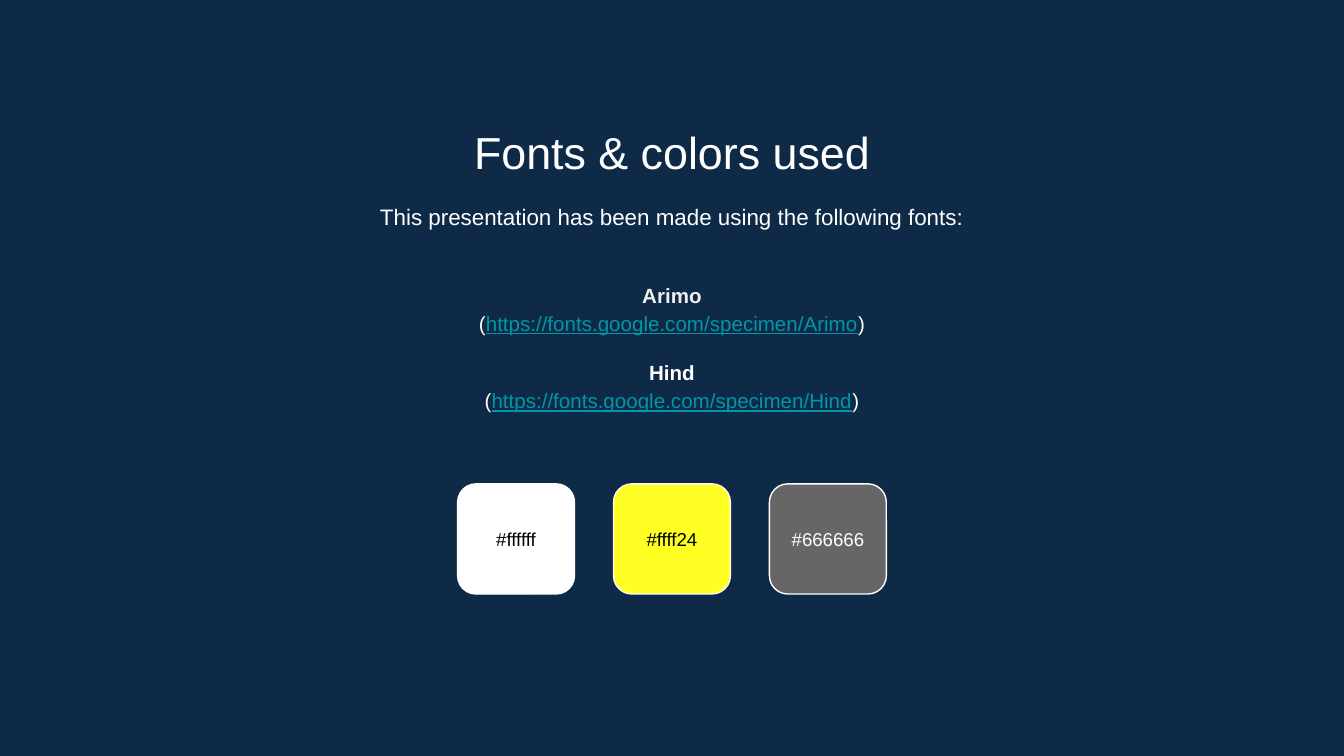
import pptx
import pptx.dml.color
import pptx.enum.shapes
import pptx.enum.text
import pptx.util

COLORS = {
    "navy": "0E2A47",
    "white": "FFFFFF",
    "black": "000000",
    "pale": "EFEFEF",
    "teal": "0097A7",
    "yellow": "FFFF24",
    "gray": "666666",
}
ANCHOR = pptx.enum.text.MSO_ANCHOR
SLIDE_WIDTH = 10
SLIDE_HEIGHT = SLIDE_WIDTH * 9 / 16


def rgb(name):
    return pptx.dml.color.RGBColor.from_string(COLORS[name])


def write(frame, paragraphs, size, anchor, spacing=1.0, inset=0.1):
    """Fill a frame; each paragraph is a list of (text, color, bold, underline)."""
    frame.word_wrap = True
    frame.vertical_anchor = anchor
    frame.margin_left = frame.margin_right = pptx.util.Inches(inset)
    frame.margin_top = frame.margin_bottom = pptx.util.Inches(inset)
    for index, pieces in enumerate(paragraphs):
        paragraph = frame.paragraphs[0] if index == 0 else frame.add_paragraph()
        paragraph.alignment = pptx.enum.text.PP_ALIGN.CENTER
        paragraph.line_spacing = spacing
        for text, color, bold, underline in pieces:
            run = paragraph.add_run()
            run.text = text
            run.font.name = "Arial"
            run.font.size = pptx.util.Pt(size)
            run.font.bold = bold
            run.font.underline = underline
            run.font.color.rgb = rgb(color)


presentation = pptx.Presentation()
presentation.slide_width = pptx.util.Inches(SLIDE_WIDTH)
presentation.slide_height = pptx.util.Inches(SLIDE_HEIGHT)
slide = presentation.slides.add_slide(presentation.slide_layouts[6])
slide.background.fill.solid()
slide.background.fill.fore_color.rgb = rgb("navy")

# Font names, each followed by its address
font_lines = []
for font_name, color in (("Arimo", "pale"), ("Hind", "white")):
    address = f"https://fonts.google.com/specimen/{font_name}"
    font_lines.append([(font_name, color, True, False)])
    font_lines.append([("(", "white", False, False),
                       (address, "teal", False, True),
                       (")", "white", False, False)])

# Centered text column: top, height, paragraphs, size, anchor, line spacing
column_width = 7.71
column_left = (SLIDE_WIDTH - column_width) / 2
intro = "This presentation has been made using the following fonts:"
blocks = [
    (0.83, 0.53, [[("Fonts & colors used", "white", False, False)]], 24, ANCHOR.TOP, 1.0),
    (1.38, 0.48, [[(intro, "white", False, False)]], 12, ANCHOR.TOP, 1.15),
    (1.89, 1.37, font_lines, 11, ANCHOR.MIDDLE, 1.15),
]
for top, height, paragraphs, size, anchor, spacing in blocks:
    box = slide.shapes.add_textbox(
        pptx.util.Inches(column_left), pptx.util.Inches(top),
        pptx.util.Inches(column_width), pptx.util.Inches(height))
    write(box.text_frame, paragraphs, size, anchor, spacing)

# Gap between the two fonts
box.text_frame.paragraphs[2].space_before = pptx.util.Pt(11)

# Row of color swatches, centered on the slide
swatches = [("white", "black"), ("yellow", "black"), ("gray", "white")]
swatch_width, swatch_height, pitch = 0.87, 0.82, 1.16
row_left = (SLIDE_WIDTH - pitch * (len(swatches) - 1) - swatch_width) / 2
row_top = SLIDE_HEIGHT * 0.64
for column, (fill, label_color) in enumerate(swatches):
    swatch = slide.shapes.add_shape(
        pptx.enum.shapes.MSO_SHAPE.ROUNDED_RECTANGLE,
        pptx.util.Inches(row_left + column * pitch), pptx.util.Inches(row_top),
        pptx.util.Inches(swatch_width), pptx.util.Inches(swatch_height))
    swatch.shadow.inherit = False
    swatch.fill.solid()
    swatch.fill.fore_color.rgb = rgb(fill)
    swatch.line.color.rgb = rgb("white")
    swatch.line.width = pptx.util.Pt(0.75)
    label = "#" + COLORS[fill].lower()
    write(swatch.text_frame, [[(label, label_color, False, False)]], 10,
          ANCHOR.MIDDLE, inset=0)

presentation.save("out.pptx")
